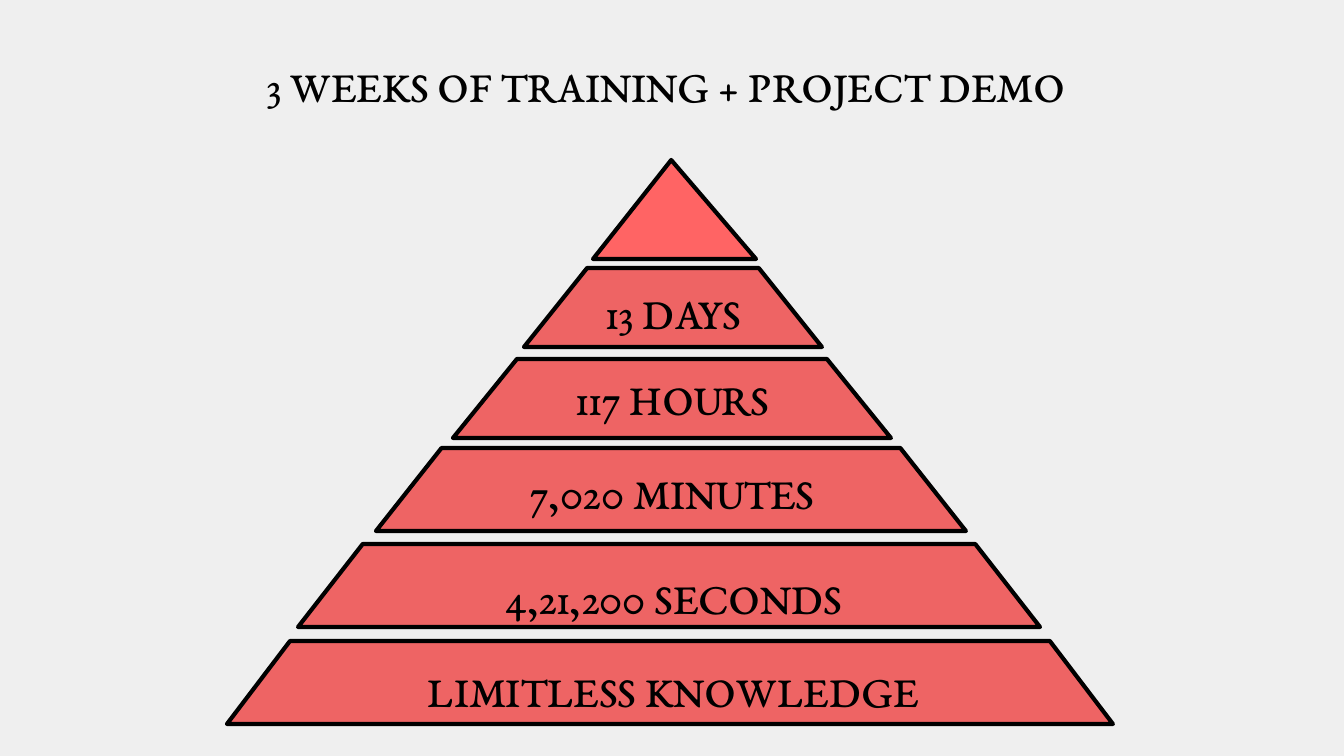
import dataclasses

import pptx
import pptx.dml.color
import pptx.enum.shapes
import pptx.enum.text
import pptx.util

SHAPE = pptx.enum.shapes.MSO_SHAPE
ANCHOR = pptx.enum.text.MSO_ANCHOR
RGB = pptx.dml.color.RGBColor.from_string
WIDTH, HEIGHT = 1344, 756
SCALE = pptx.util.Inches(10) / WIDTH


def px(*lengths):
    return [round(length * SCALE) for length in lengths]


@dataclasses.dataclass(frozen=True)
class Theme:
    background: str = "EFEFEF"
    ink: str = "000000"
    tier: str = "EE6464"
    peak: str = "FF6464"
    font: str = "EB Garamond"
    text_size: float = 24
    line_width: float = 2.25


class Deck:
    def __init__(self, prs, theme):
        self.theme = theme
        self.s = prs.slides.add_slide(prs.slide_layouts[5])
        fill = self.s.background.fill
        fill.solid()
        fill.fore_color.rgb = RGB(theme.background)

    def set_text(self, sp, text, insets, anchor, spacing):
        tf = sp.text_frame
        left, top, right, bottom = px(*insets)
        frame = {
            "margin_left": left, "margin_top": top,
            "margin_right": right, "margin_bottom": bottom,
            "word_wrap": True, "vertical_anchor": anchor,
            "auto_size": pptx.enum.text.MSO_AUTO_SIZE.NONE,
        }
        for name, value in frame.items():
            setattr(tf, name, value)
        p = tf.paragraphs[0]
        p.alignment = pptx.enum.text.PP_ALIGN.CENTER
        p.line_spacing = spacing
        r = p.add_run()
        r.text = text
        style = {"name": self.theme.font, "size": pptx.util.Pt(self.theme.text_size)}
        for name, value in style.items():
            setattr(r.font, name, value)
        r.font.color.rgb = RGB(self.theme.ink)

    def title(self, text, box, insets):
        sp = self.s.shapes.title
        for name, value in zip(("left", "top", "width", "height"), px(*box)):
            setattr(sp, name, value)
        self.set_text(sp, text, insets, ANCHOR.MIDDLE, 1.1)

    def label(self, text, box, insets=(9, 5, 9, 5), anchor=ANCHOR.TOP, spacing=1.0):
        sp = self.s.shapes.add_textbox(*px(*box))
        self.set_text(sp, text, insets, anchor, spacing)

    def block(self, kind, box, adjustment, color):
        sp = self.s.shapes.add_shape(kind, *px(*box))
        sp.shadow.inherit = False
        sp.adjustments[0] = adjustment
        sp.fill.solid()
        sp.fill.fore_color.rgb = RGB(color)
        sp.line.color.rgb = RGB(self.theme.ink)
        sp.line.width = pptx.util.Pt(self.theme.line_width)


def main():
    prs = pptx.Presentation()
    prs.slide_width, prs.slide_height = px(WIDTH, HEIGHT)
    theme = Theme()
    deck = Deck(prs, theme)

    deck.title("3 WEEKS OF TRAINING + PROJECT DEMO", (0, 24, WIDTH, 169), (0, 0, 12, 54))
    deck.block(SHAPE.ISOSCELES_TRIANGLE, (593, 160, 163, 99), 0.48, theme.peak)

    wide = {"insets": (0, 0, 0, 0), "anchor": ANCHOR.MIDDLE, "spacing": 1.1}
    tiers = [
        ("13 DAYS", (524, 268, 298, 79), 0.8, (552, 280, 243, 65), {}),
        ("117 HOURS", (453, 359, 438, 79), 0.81, (524, 366, 298, 65), {}),
        ("7,020 MINUTES", (376, 448, 590, 83), 0.79, (453, 460, 438, 65), {}),
        ("4,21,200 SECONDS", (298, 544, 742, 83), 0.78, (180, 524, 986, 140), wide),
        ("LIMITLESS KNOWLEDGE", (227, 641, 886, 83), 0.76, (180, 617, 986, 140), wide),
    ]
    for text, box, adjustment, label_box, layout in tiers:
        deck.block(SHAPE.TRAPEZOID, box, adjustment, theme.tier)
        deck.label(text, label_box, **layout)

    prs.save("out.pptx")


if __name__ == "__main__":
    main()
